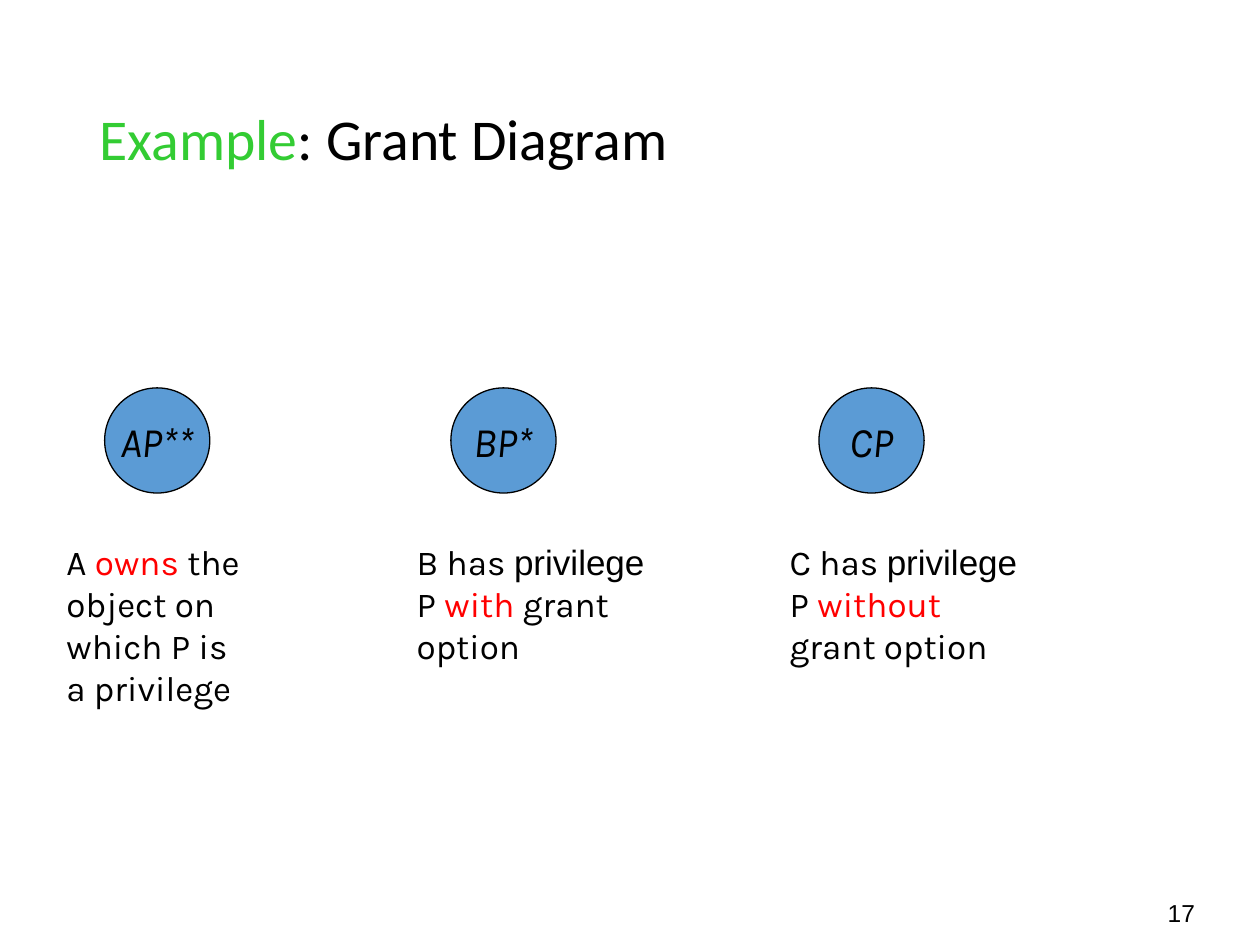
from pptx import Presentation
from pptx.dml.color import RGBColor
from pptx.enum.shapes import MSO_SHAPE as Shape
from pptx.enum.text import MSO_ANCHOR as Anchor, MSO_AUTO_SIZE as AutoSize, PP_ALIGN as Align
from pptx.util import Cm, Pt

BLACK, RED, GREEN, BLUE = "000000", "FF0000", "33CC33", "5B9BD5"
LABEL = dict(name="Karla", size=Pt(20))
ARIAL = dict(LABEL, name="Arial")
NODE = dict(name="Karla", size=Pt(24), italic=True)
TITLE = dict(name="Calibri", size=Pt(33))
NUMBER = dict(name="Arial", size=Pt(14))


def rgb(value):
    """Turn a hex string into a colour."""
    return RGBColor.from_string(value)


def add_run(p, text, style, color=BLACK):
    """Append a run with the given font values and colour."""
    r = p.add_run()
    r.text = text
    for key, value in style.items():
        setattr(r.font, key, value)
    r.font.color.rgb = rgb(color)


def fill_text(tf, paragraphs, **values):
    """Write paragraphs of runs into a text frame."""
    for key, value in values.items():
        setattr(tf, key, value)
    for i, runs in enumerate(paragraphs):
        p = tf.add_paragraph() if i else tf.paragraphs[0]
        p.alignment = Align.LEFT
        for run in runs:
            add_run(p, *run)


def add_text(s, box, paragraphs):
    """Add a wrapping text box at the given box."""
    sp = s.shapes.add_textbox(*map(Cm, box))
    fill_text(sp.text_frame, paragraphs, word_wrap=True)


def add_title(s, box):
    """Move the title placeholder to the box and write the heading."""
    sp = s.shapes.title
    sp.left, sp.top, sp.width, sp.height = map(Cm, box)
    runs = [("Example", TITLE, GREEN), (": Grant Diagram", TITLE)]
    fill_text(sp.text_frame, [runs], auto_size=AutoSize.NONE,
              vertical_anchor=Anchor.MIDDLE, word_wrap=True)
    sp.text_frame.paragraphs[0].line_spacing = 0.9


def add_node(s, box, name, indent, paragraphs):
    """Draw a grant node at the top of the box and its explanation below."""
    left, top, width, height = box
    size, drop = 2.12, 2.95
    sp = s.shapes.add_shape(Shape.OVAL, Cm(left + indent), Cm(top), Cm(size), Cm(size))
    sp.shadow.inherit = False
    sp.fill.solid()
    sp.fill.fore_color.rgb = rgb(BLUE)
    sp.line.color.rgb = rgb(BLACK)
    sp.line.width = Pt(0.75)
    fill_text(sp.text_frame, [[(name, NODE)]], word_wrap=False,
              vertical_anchor=Anchor.MIDDLE)
    sp.text_frame.paragraphs[0].alignment = Align.CENTER
    add_text(s, (left, top + drop, width, height - drop), paragraphs)


def privilege_text(user, option):
    """Return the explanation for a user who was granted the privilege."""
    return [[(f"{user} has ", LABEL), ("privilege ", ARIAL), ("P ", LABEL),
             (option, LABEL, RED), (" grant option", LABEL)]]


def main():
    """Build the grant diagram slide."""
    prs = Presentation()
    prs.slide_width, prs.slide_height = Cm(25.4), Cm(19.05)
    s = prs.slides.add_slide(prs.slide_layouts[5])
    add_title(s, (1.75, 1.02, 21.92, 3.68))
    owner_text = [[("A ", LABEL), ("owns", LABEL, RED), (" the", LABEL)]]
    owner_text += [[(line, LABEL)] for line in ("object on", "which P is", "a privilege")]
    add_node(s, (1.09, 7.82, 4.17, 6.6), "AP**", 1.02, owner_text)
    add_node(s, (8.15, 7.82, 5.18, 5.75), "BP*", 0.94, privilege_text("B", "with"))
    add_node(s, (15.67, 7.82, 5.18, 5.75), "CP", 0.84, privilege_text("C", "without"))
    add_text(s, (23.29, 17.98, 1.47, 0.86), [[("17", NUMBER)]])
    prs.save("out.pptx")


if __name__ == "__main__":
    main()
